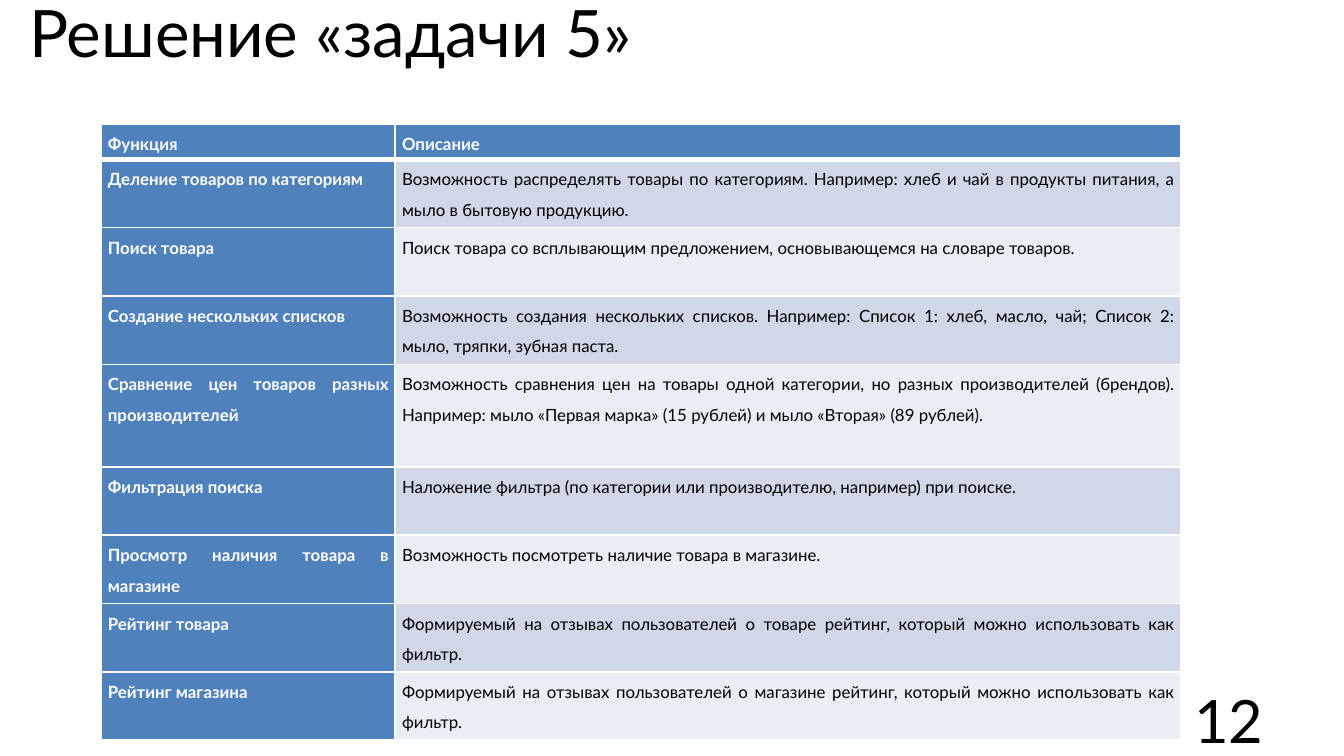
from lxml.etree import SubElement
from pptx import Presentation
from pptx.dml.color import RGBColor
from pptx.enum.text import MSO_ANCHOR, MSO_AUTO_SIZE, PP_ALIGN
from pptx.oxml.ns import qn
from pptx.util import Cm, Pt

FONT = "Lato"
BLACK, WHITE, BLUE = "000000", "FFFFFF", "4F81BD"
BANDS = ("D0D8E8", "E9EDF4")

HEADER = ("Функция", "Описание")
FUNCTIONS = [
    ("Деление товаров по категориям",
     "Возможность распределять товары по категориям. Например: хлеб и чай "
     "в продукты питания, а мыло в бытовую продукцию."),
    ("Поиск товара",
     "Поиск товара со всплывающим предложением, основывающемся на словаре товаров."),
    ("Создание нескольких списков",
     "Возможность создания нескольких списков. Например: Список 1: хлеб, масло, "
     "чай; Список 2: мыло, тряпки, зубная паста."),
    ("Сравнение цен товаров разных производителей",
     "Возможность сравнения цен на товары одной категории, но разных производителей "
     "(брендов). Например: мыло «Первая марка» (15 рублей) и мыло «Вторая» (89 рублей)."),
    ("Фильтрация поиска",
     "Наложение фильтра (по категории или производителю, например) при поиске."),
    ("Просмотр наличия товара в магазине",
     "Возможность посмотреть наличие товара в магазине."),
    ("Рейтинг товара",
     "Формируемый на отзывах пользователей о товаре рейтинг, который можно "
     "использовать как фильтр."),
    ("Рейтинг магазина",
     "Формируемый на отзывах пользователей о магазине рейтинг, который можно "
     "использовать как фильтр."),
]
TALL_ROW = 4


def rgb(value):
    return RGBColor.from_string(value)


def write(tf, text, size=9, color=BLACK, bold=False, align=PP_ALIGN.LEFT, spacing=None):
    p = tf.paragraphs[0]
    p.alignment = align
    if spacing:
        p.line_spacing = spacing
    r = p.add_run()
    r.text = text
    r.font.name, r.font.size, r.font.bold = FONT, Pt(size), bold
    r.font.color.rgb = rgb(color)


def set_borders(cell, top=1, bottom=1):
    tcPr = cell._tc.get_or_add_tcPr()
    widths = {"lnL": 1, "lnR": 1, "lnT": top, "lnB": bottom}
    for i, (side, width) in enumerate(widths.items()):
        ln = SubElement(tcPr, qn(f"a:{side}"), w=str(Pt(width)))
        fill = SubElement(ln, qn("a:solidFill"))
        SubElement(fill, qn("a:srgbClr"), val=WHITE)
        tcPr.insert(i, ln)  # borders come before the cell fill


def add_title(s, text, x, y, w, h):
    sp = s.shapes.title
    sp.left, sp.top, sp.width, sp.height = Cm(x), Cm(y), Cm(w), Cm(h)
    tf = sp.text_frame
    tf.auto_size = MSO_AUTO_SIZE.NONE
    tf.vertical_anchor = MSO_ANCHOR.MIDDLE
    write(tf, text, size=35)


def add_page_number(s, text, x, y, w, h):
    tf = s.shapes.add_textbox(Cm(x), Cm(y), Cm(w), Cm(h)).text_frame
    tf.word_wrap = True
    tf.vertical_anchor = MSO_ANCHOR.MIDDLE
    write(tf, text, size=32, align=PP_ALIGN.RIGHT)


def add_function_table(s, x, y, w, h):
    rows = [HEADER] + FUNCTIONS
    table = s.shapes.add_table(len(rows), 2, Cm(x), Cm(y), Cm(w), Cm(h)).table
    name_w, header_h = 5.56, 0.66
    table.columns[0].width, table.columns[1].width = Cm(name_w), Cm(w - name_w)

    # The tall row counts as one and a half ordinary rows
    row_h = (h - header_h) / (len(FUNCTIONS) + 0.5)
    for i, texts in enumerate(rows):
        height = header_h if i == 0 else row_h * (1.5 if i == TALL_ROW else 1)
        table.rows[i].height = Cm(height)
        for j, text in enumerate(texts):
            cell = table.cell(i, j)
            heading = i == 0 or j == 0
            cell.margin_left = cell.margin_right = Cm(0.13)
            cell.margin_top = cell.margin_bottom = 0
            cell.fill.solid()
            cell.fill.fore_color.rgb = rgb(BLUE if heading else BANDS[(i - 1) % 2])
            set_borders(cell, top=3 if i == 1 else 1, bottom=3 if i == 0 else 1)
            write(cell.text_frame, text, color=WHITE if heading else BLACK,
                  bold=heading, align=PP_ALIGN.JUSTIFY, spacing=1.5)


def main():
    prs = Presentation()
    prs.slide_width, prs.slide_height = Cm(25.4), Cm(14.29)
    s = prs.slides.add_slide(prs.slide_layouts[5])
    add_title(s, "Решение «задачи 5»", 0.3, 0.03, 22.66, 1.14)
    add_page_number(s, "12", 18.21, 13.23, 5.92, 0.76)
    add_function_table(s, 1.91, 2.35, 20.4, 11.65)
    prs.save("out.pptx")


if __name__ == "__main__":
    main()
